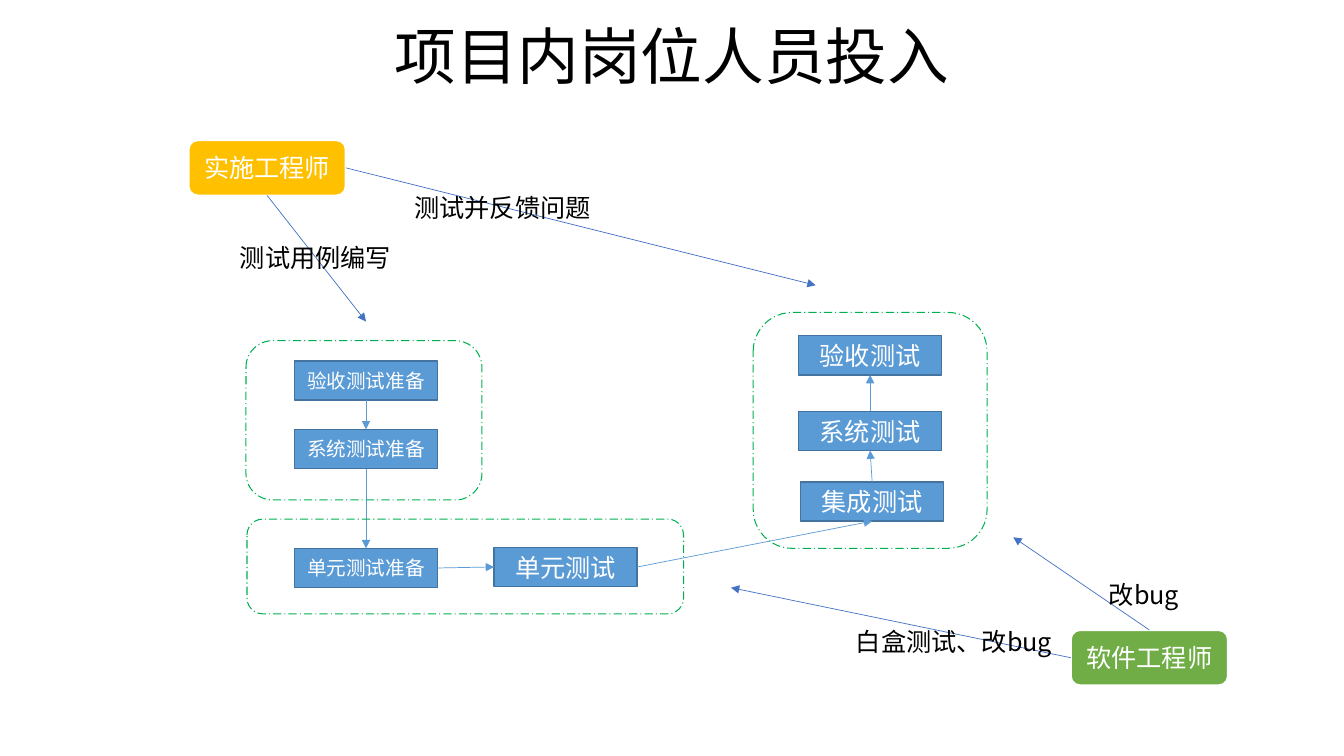
"""Build a slide that shows how project roles take part in testing."""
from lxml import etree
from pptx import Presentation
from pptx.dml.color import RGBColor
from pptx.enum.dml import MSO_LINE
from pptx.enum.shapes import MSO_CONNECTOR, MSO_SHAPE
from pptx.enum.text import MSO_ANCHOR, MSO_AUTO_SIZE, PP_ALIGN
from pptx.oxml.ns import qn
from pptx.util import Inches, Pt

RECT, ROUND = MSO_SHAPE.RECTANGLE, MSO_SHAPE.ROUNDED_RECTANGLE
STRAIGHT = MSO_CONNECTOR.STRAIGHT
DASH = MSO_LINE.LONG_DASH_DOT
LEFT, CENTER = PP_ALIGN.LEFT, PP_ALIGN.CENTER
TOP_ANCHOR, MIDDLE = MSO_ANCHOR.TOP, MSO_ANCHOR.MIDDLE
GROW = MSO_AUTO_SIZE.SHAPE_TO_FIT_TEXT
TOP, WEST, BOTTOM, EAST = range(4)

FONT = "Noto Sans CJK SC"
COLORS = {
    "step": "5B9BD5", "step_edge": "43739E", "role_arrow": "4472C4",
    "implementer": "FFC000", "developer": "70AD47", "group": "00B050",
    "white": "FFFFFF", "black": "000000",
}


class Deck:
    """Hold the style and the current slide."""

    def __init__(self):
        self.prs = Presentation()
        self.prs.slide_width, self.prs.slide_height = Inches(13.33), Inches(7.5)
        self.slide = self.prs.slides.add_slide(self.prs.slide_layouts[6])

    def color(self, name):
        return RGBColor.from_string(COLORS[name])

    def apply(self, target, formats):
        for name, value in formats.items():
            setattr(target, name, value)

    def add_text(self, sp, text, size, color, align=CENTER, anchor=MIDDLE, **formats):
        tf = sp.text_frame
        self.apply(tf, {"word_wrap": True, "vertical_anchor": anchor, **formats})
        p = tf.paragraphs[0]
        p.alignment = align
        r = p.add_run()
        r.text = text
        self.apply(r.font, {"size": Pt(size), "name": FONT})
        r.font.color.rgb = self.color(color)
        etree.SubElement(r.font._element, qn("a:ea"), typeface=FONT)
        return p

    def shape(self, kind, box, fill, edge, **line):
        sp = self.slide.shapes.add_shape(kind, *map(Inches, box))
        sp.shadow.inherit = False
        if fill:
            sp.fill.solid()
            sp.fill.fore_color.rgb = self.color(fill)
        else:
            sp.fill.background()
        sp.line.color.rgb = self.color(edge)
        self.apply(sp.line, line)
        return sp

    def step(self, text, x, y, size):
        sp = self.shape(RECT, (x, y, 1.42, 0.39), "step", "step_edge", width=Pt(1))
        self.add_text(sp, text, size, "white")
        return sp

    def role(self, text, x, y, fill):
        sp = self.shape(ROUND, (x, y, 1.56, 0.55), fill, "white", width=Pt(1.5))
        self.add_text(sp, text, 18, "white")
        return sp

    def group(self, *box):
        self.shape(ROUND, box, None, "group", width=Pt(0.75), dash_style=DASH)

    def label(self, text, *box, wrap=True):
        sp = self.slide.shapes.add_textbox(*map(Inches, box))
        self.add_text(sp, text, 18, "black", LEFT, TOP_ANCHOR,
                      word_wrap=wrap, auto_size=GROW)

    def title(self, text):
        sp = self.slide.shapes.add_textbox(*map(Inches, (0, 0.21, 13.33, 0.77)))
        p = self.add_text(sp, text, 44, "black", auto_size=GROW)
        p.line_spacing = 0.9

    def arrow(self, start, side, color, end=(0, 0)):
        ends = map(Inches, (0, 0, *end))
        sp = self.slide.shapes.add_connector(STRAIGHT, *ends)
        sp.begin_connect(start, side)
        sp.line.color.rgb = self.color(color)
        sp.line.width = Pt(0.5)
        etree.SubElement(sp._element.spPr.find(qn("a:ln")), qn("a:tailEnd"), type="triangle")
        etree.SubElement(sp._element.spPr, qn("a:effectLst"))
        return sp

    def link(self, start, side, finish, finish_side):
        self.arrow(start, side, "step").end_connect(finish, finish_side)


deck = Deck()

accept_prep, system_prep, unit_prep = [
    deck.step(text, 2.92, y, 14)
    for text, y in (("验收测试准备", 3.58), ("系统测试准备", 4.26), ("单元测试准备", 5.44))
]
unit, integration, system, accept = [
    deck.step(text, x, y, 18)
    for text, x, y in (("单元测试", 4.9, 5.43), ("集成测试", 7.94, 4.78),
                       ("系统测试", 7.92, 4.08), ("验收测试", 7.92, 3.33))
]
for ends in (
    (accept_prep, BOTTOM, system_prep, TOP),
    (system_prep, BOTTOM, unit_prep, TOP),
    (unit_prep, EAST, unit, WEST),
    (unit, EAST, integration, BOTTOM),
    (integration, TOP, system, BOTTOM),
    (system, TOP, accept, BOTTOM),
):
    deck.link(*ends)

for box in ((2.44, 3.38, 2.34, 1.58), (2.45, 5.15, 4.33, 0.94), (7.47, 3.1, 2.32, 2.34)):
    deck.group(*box)

implementer = deck.role("实施工程师", 1.87, 1.39, "implementer")
developer = deck.role("软件工程师", 10.62, 6.25, "developer")
for role, side, end in (
    (implementer, BOTTOM, (3.63, 3.19)),
    (implementer, EAST, (8.09, 2.83)),
    (developer, WEST, (7.25, 5.83)),
    (developer, TOP, (10.05, 5.33)),
):
    deck.arrow(role, side, "role_arrow", end)

deck.label("测试用例编写", 2.28, 2.35, 1.72, 0.4, wrap=False)
deck.label("测试并反馈问题", 4.01, 1.86, 1.97, 0.4, wrap=False)
deck.label("白盒测试、改bug", 8.39, 6.16, 2.23, 0.4)
deck.label("改bug", 10.9, 5.7, 1.35, 0.4)
deck.title("项目内岗位人员投入")

deck.prs.save("out.pptx")
